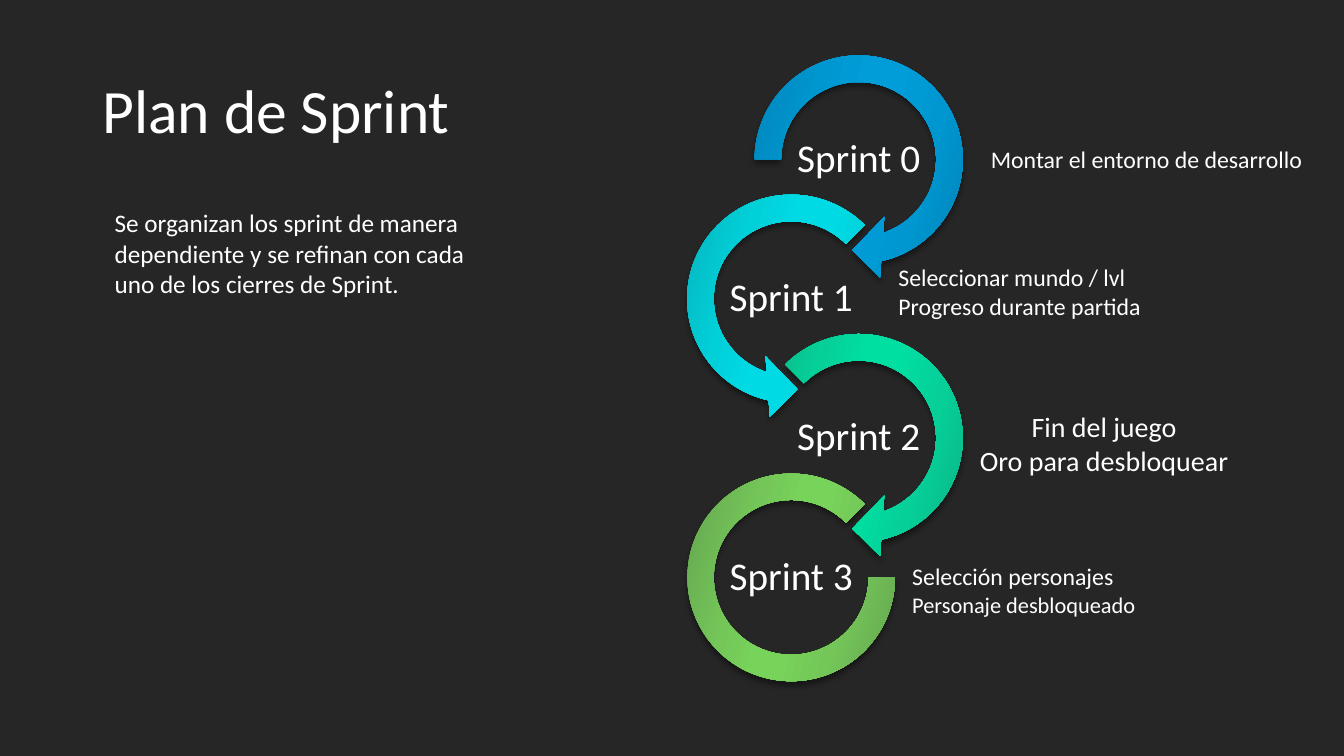
from dataclasses import dataclass

from lxml.etree import SubElement
from pptx import Presentation
from pptx.dml.color import RGBColor
from pptx.enum.shapes import MSO_SHAPE
from pptx.enum.text import MSO_ANCHOR, MSO_AUTO_SIZE, PP_ALIGN
from pptx.oxml.ns import qn
from pptx.util import Cm, Pt

TITLE = "Plan de Sprint"
SUMMARY = ("Se organizan los sprint de manera dependiente y se refinan "
           "con cada uno de los cierres de Sprint.")

RIGHT_ARROW = (MSO_SHAPE.CIRCULAR_ARROW, 6.1)
LEFT_ARROW = (MSO_SHAPE.LEFT_CIRCULAR_ARROW, 6.1)
OPEN_RING = (MSO_SHAPE.BLOCK_ARC, 5.23)

SPRINTS = [
    {"name": "Sprint 0", "ring": RIGHT_ARROW, "bends": (0.11, 11.42, 45, 108, 0.125),
     "shades": ("0080B2", "0096CF", "009DD9"),
     "tasks": [("Montar el entorno de desarrollo", 17)],
     "note": (24.94, 2.84, 7.98), "align": PP_ALIGN.LEFT},
    {"name": "Sprint 1", "ring": LEFT_ARROW, "bends": (0.11, 11.42, 63, 189, 0.125),
     "shades": ("09AAB2", "01D0D9", "00DAE4"),
     "tasks": [("Seleccionar mundo / lvl", 17), ("Progreso durante partida", 17)],
     "note": (22.61, 6.17, 10.62), "align": PP_ALIGN.LEFT},
    {"name": "Sprint 2", "ring": RIGHT_ARROW, "bends": (0.11, 11.42, 45, 135, 0.125),
     "shades": ("0DA97F", "06CF98", "00DFA2"),
     "tasks": [("Fin del juego", 20), ("Oro para desbloquear", 20)],
     "note": (24.33, 10.01, 6.99), "align": PP_ALIGN.CENTER},
    {"name": "Sprint 3", "ring": OPEN_RING, "bends": (0, 189, 0.127),
     "shades": ("65A550", "74C659", "77D359"),
     "tasks": [("Selección personajes", 17), ("Personaje desbloqueado", 16)],
     "note": (22.96, 13.69, 7.42), "align": PP_ALIGN.LEFT},
]

CENTRES_X = (21.64, 19.94)
FIRST_CENTRE_Y = 4.02
PITCH = 3.51
LABEL_WIDTH, LABEL_HEIGHT = 3.4, 1.7
NOTE_HEIGHT = 2.44


@dataclass(frozen=True)
class Theme:
    font: str = "Calibri"
    background: str = "262626"
    text: str = "FFFFFF"
    shadow: str = "000000"
    title_size: int = 44
    label_size: int = 28
    summary_size: int = 18


THEME = Theme()


def write(box, lines, align, anchor, inset, line_spacing=0.9, gap=0.0):
    frame = box.text_frame
    frame.word_wrap = True
    frame.auto_size = MSO_AUTO_SIZE.NONE
    frame.vertical_anchor = anchor
    frame.margin_left = frame.margin_right = Cm(inset)
    frame.margin_top = frame.margin_bottom = Cm(inset / 2 if inset > 0.2 else inset)
    frame.text = "\n".join(words for words, size in lines)
    for para, (words, size) in zip(frame.paragraphs, lines):
        para.alignment = align
        para.line_spacing = line_spacing
        para.space_after = Pt(round(size * gap, 1))
        for span in para.runs:
            span.font.name = THEME.font
            span.font.size = Pt(size)
            span.font.color.rgb = RGBColor.from_string(THEME.text)


def shade(shape, shades):
    dark, middle, light = shades
    shape.fill.gradient()
    shape.fill.gradient_angle = 344
    stops = shape.element.spPr.find(qn("a:gradFill")).find(qn("a:gsLst"))
    for stop in list(stops):
        stops.remove(stop)
    tones = (dark, middle, light, light, middle, dark)
    for position, tone in zip((0, 30, 45, 55, 73, 100), tones):
        stop = SubElement(stops, qn("a:gs"), pos=str(position * 1000))
        SubElement(stop, qn("a:srgbClr"), val=tone)


def cast_shadow(shape):
    shape.shadow.inherit = False
    effects = shape.element.spPr.find(qn("a:effectLst"))
    shadow = SubElement(effects, qn("a:outerShdw"), blurRad=str(Pt(4)),
                        dist=str(Pt(3.4)), dir="5400000", rotWithShape="0")
    tone = SubElement(shadow, qn("a:srgbClr"), val=THEME.shadow)
    SubElement(tone, qn("a:alpha"), val="40000")


def add_sprint(shapes, index, sprint):
    centre_x = CENTRES_X[index % 2]
    centre_y = FIRST_CENTRE_Y + index * PITCH

    preset, size = sprint["ring"]
    ring = shapes.add_shape(preset, Cm(centre_x - size / 2), Cm(centre_y - size / 2),
                            Cm(size), Cm(size))
    for slot, bend in enumerate(sprint["bends"]):
        ring.adjustments[slot] = bend
    ring.line.fill.background()
    shade(ring, sprint["shades"])
    cast_shadow(ring)

    left, top, width = sprint["note"]
    note = shapes.add_textbox(Cm(left), Cm(top), Cm(width), Cm(NOTE_HEIGHT))
    write(note, sprint["tasks"], sprint["align"], MSO_ANCHOR.MIDDLE, 0.03, gap=0.15)

    label = shapes.add_textbox(Cm(centre_x - LABEL_WIDTH / 2), Cm(centre_y - LABEL_HEIGHT / 2),
                               Cm(LABEL_WIDTH), Cm(LABEL_HEIGHT))
    write(label, [(sprint["name"], THEME.label_size)], PP_ALIGN.CENTER,
          MSO_ANCHOR.MIDDLE, 0.05)


def main():
    deck = Presentation()
    deck.slide_width, deck.slide_height = Cm(33.87), Cm(19.05)
    page = deck.slides.add_slide(deck.slide_layouts[5])
    page.background.fill.solid()
    page.background.fill.fore_color.rgb = RGBColor.from_string(THEME.background)

    title = page.shapes.title
    title.left, title.top, title.width, title.height = Cm(2.33), Cm(1.01), Cm(29.21), Cm(3.68)
    write(title, [(TITLE, THEME.title_size)], PP_ALIGN.LEFT, MSO_ANCHOR.MIDDLE, 0.25)

    chain = page.shapes.add_group_shape()
    for index, sprint in enumerate(SPRINTS):
        add_sprint(chain.shapes, index, sprint)

    summary = page.shapes.add_textbox(Cm(2.64), Cm(5.11), Cm(10.26), Cm(2.57))
    write(summary, [(SUMMARY, THEME.summary_size)], PP_ALIGN.LEFT, MSO_ANCHOR.TOP, 0.25,
          line_spacing=1.0)

    deck.save("out.pptx")


if __name__ == "__main__":
    main()
